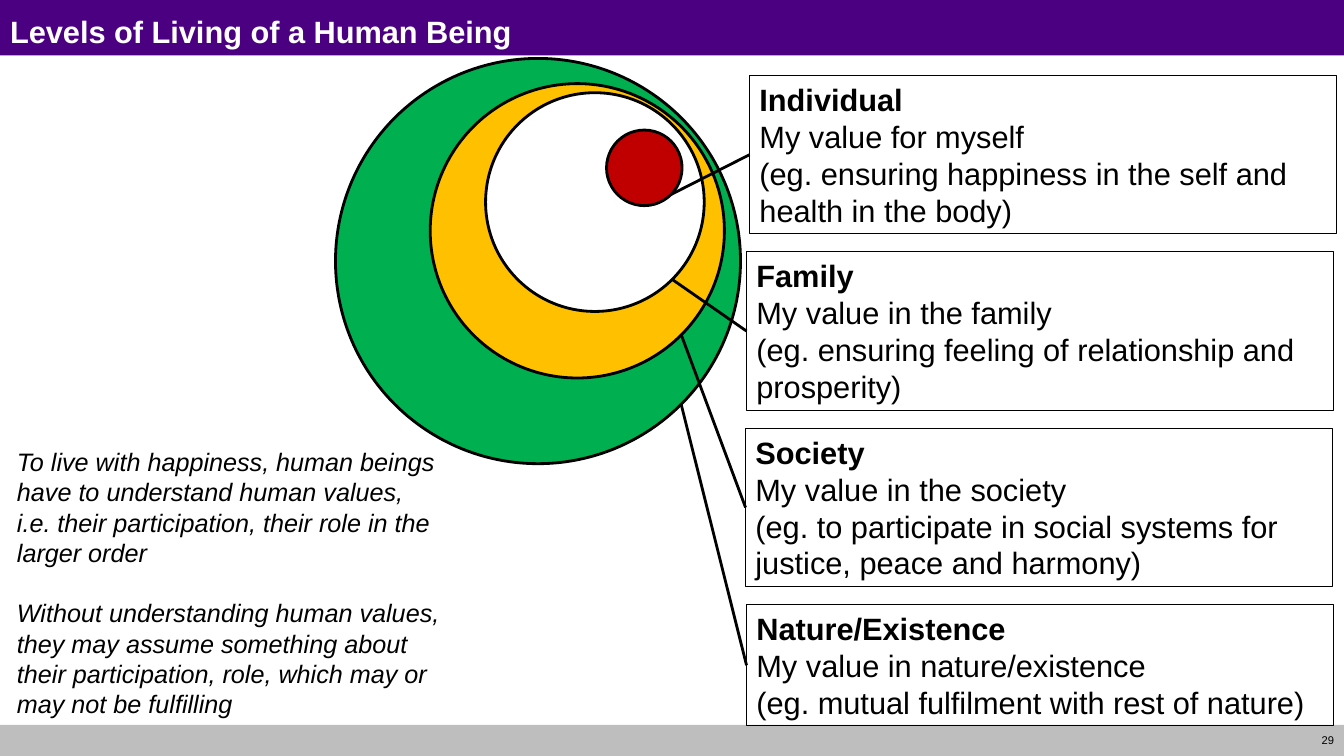
from dataclasses import dataclass
from math import sqrt

from lxml import etree
from pptx import Presentation
from pptx.dml.color import RGBColor
from pptx.enum.shapes import MSO_CONNECTOR, MSO_SHAPE
from pptx.enum.text import MSO_ANCHOR, PP_ALIGN
from pptx.oxml.ns import qn
from pptx.util import Inches, Pt

RECTANGLE, ELLIPSE = MSO_SHAPE.RECTANGLE, MSO_SHAPE.OVAL
STRAIGHT = MSO_CONNECTOR.STRAIGHT
TOP, MIDDLE = MSO_ANCHOR.TOP, MSO_ANCHOR.MIDDLE
LEFT, RIGHT = PP_ALIGN.LEFT, PP_ALIGN.RIGHT
TITLE_ONLY = 5
SLIDE_WIDTH, SLIDE_HEIGHT = 13.34, 7.5


@dataclass(frozen=True)
class Theme:
    font: str = "Arial"
    ink: str = "000000"
    paper: str = "FFFFFF"
    header: str = "4B0082"
    footer: str = "BEBEBE"
    nature: str = "00B050"
    society: str = "FFC000"
    individual: str = "C00000"
    title_size: float = 22
    callout_size: float = 22
    note_size: float = 18
    note_gap: float = 21.6
    number_size: float = 8
    heavy_line: float = 2
    thin_line: float = 0.75


THEME = Theme()

# Name, colour, left, top and diameter, from the outermost circle inwards
CIRCLES = [
    ("nature", THEME.nature, 3.33, 0.58, 4.02),
    ("society", THEME.society, 4.27, 0.83, 2.92),
    ("family", THEME.paper, 4.82, 0.92, 2.17),
    ("individual", THEME.individual, 6.02, 1.29, 0.75),
]

# Circle, left edge, height and lines of each callout
CALLOUTS = [
    ("individual", 7.44, 1.57, ["Individual", "My value for myself",
     "(eg. ensuring happiness in the self and health in the body)"]),
    ("family", 7.41, 1.57, ["Family", "My value in the family",
     "(eg. ensuring feeling of relationship and prosperity)"]),
    ("society", 7.4, 1.57, ["Society", "My value in the society",
     "(eg. to participate in social systems for justice, peace and harmony)"]),
    ("nature", 7.41, 1.2, ["Nature/Existence", "My value in nature/existence",
     "(eg. mutual fulfilment with rest of nature)"]),
]
CALLOUT_TOP, CALLOUT_PITCH, CALLOUT_WIDTH = 0.75, 1.75, 5.83

NOTES = [
    "To live with happiness, human beings have to understand human values, "
    "i.e. their participation, their role in the larger order",
    "Without understanding human values, they may assume something about "
    "their participation, role, which may or may not be fulfilling",
]


def inches(*lengths):
    return [Inches(length) for length in lengths]


def set_attributes(target, values):
    for name, value in values.items():
        setattr(target, name, value)


def add_outlined(slide, kind, box, fill=None, line_width=None):
    shape = slide.shapes.add_shape(kind, *inches(*box))
    shape.shadow.inherit = False
    if fill:
        shape.fill.solid()
        shape.fill.fore_color.rgb = RGBColor.from_string(fill)
    else:
        shape.fill.background()
    if line_width:
        shape.line.color.rgb = RGBColor.from_string(THEME.ink)
        shape.line.width = Pt(line_width)
    else:
        shape.line.fill.background()
    return shape


def write(shape, lines, size, color=THEME.ink, bold_lines=0, italic=False,
          anchor=TOP, align=LEFT, gap=0):
    """Fill a shape with paragraphs, the first bold_lines of them bold."""
    frame = shape.text_frame
    set_attributes(frame, {
        "word_wrap": True, "vertical_anchor": anchor,
        "margin_left": Inches(0.1), "margin_right": Inches(0.1),
        "margin_top": Inches(0.05), "margin_bottom": Inches(0.05)})
    for index, line in enumerate(lines):
        paragraph = frame.paragraphs[0] if index == 0 else frame.add_paragraph()
        paragraph.text = line
        set_attributes(paragraph, {
            "alignment": align, "line_spacing": 1.0,
            "space_before": Pt(gap if index else 0)})
        set_attributes(paragraph.font, {
            "name": THEME.font, "size": Pt(size),
            "bold": index < bold_lines, "italic": italic})
        paragraph.font.color.rgb = RGBColor.from_string(color)


def draw_header(slide, box):
    left, top, width, height = box
    add_outlined(slide, RECTANGLE, box, THEME.header)
    title = slide.shapes.title
    places = inches(left, top + 0.08, width, height - 0.13)
    set_attributes(title, dict(zip(("left", "top", "width", "height"), places)))
    write(title, ["Levels of Living of a Human Being"], THEME.title_size,
          THEME.paper, bold_lines=1)
    slide.shapes._spTree.append(title._element)  # in front of the band


def draw_footer(slide, box):
    left, top, width, height = box
    add_outlined(slide, RECTANGLE, box, THEME.footer)
    number_width = 0.63
    number = slide.shapes.add_textbox(
        *inches(left + width - number_width, top, number_width, height))
    write(number, ["29"], THEME.number_size, anchor=MIDDLE, align=RIGHT)


def draw_circles(slide):
    """Draw the nested circles and return the lower right point of each."""
    points = {}
    for name, color, left, top, diameter in CIRCLES:
        add_outlined(slide, ELLIPSE, (left, top, diameter, diameter), color,
                     THEME.heavy_line)
        reach = diameter / 2 * (1 + 1 / sqrt(2))
        points[name] = (left + reach, top + reach)
    return points


def draw_callout(slide, box, lines, circle_point):
    left, top, width, height = box
    shape = add_outlined(slide, RECTANGLE, box, line_width=THEME.thin_line)
    write(shape, lines, THEME.callout_size, bold_lines=1)
    connector = slide.shapes.add_connector(
        STRAIGHT, *inches(*circle_point, left, top + height / 2))
    connector.line.color.rgb = RGBColor.from_string(THEME.ink)
    connector.line.width = Pt(THEME.heavy_line)
    etree.SubElement(connector._element.spPr, qn("a:effectLst"))


def draw_notes(slide, box):
    shape = slide.shapes.add_textbox(*inches(*box))
    write(shape, NOTES, THEME.note_size, italic=True, gap=THEME.note_gap)


def main():
    presentation = Presentation()
    presentation.slide_width, presentation.slide_height = inches(
        SLIDE_WIDTH, SLIDE_HEIGHT)
    slide = presentation.slides.add_slide(presentation.slide_layouts[TITLE_ONLY])
    draw_header(slide, (0, 0, SLIDE_WIDTH, 0.55))
    draw_footer(slide, (0, 7.19, SLIDE_WIDTH, 0.31))
    points = draw_circles(slide)
    for row, (circle, left, height, lines) in enumerate(CALLOUTS):
        top = CALLOUT_TOP + row * CALLOUT_PITCH
        draw_callout(slide, (left, top, CALLOUT_WIDTH, height), lines,
                     points[circle])
    draw_notes(slide, (0.07, 4.38, 4.4, 2.8))
    presentation.save("out.pptx")


if __name__ == "__main__":
    main()
